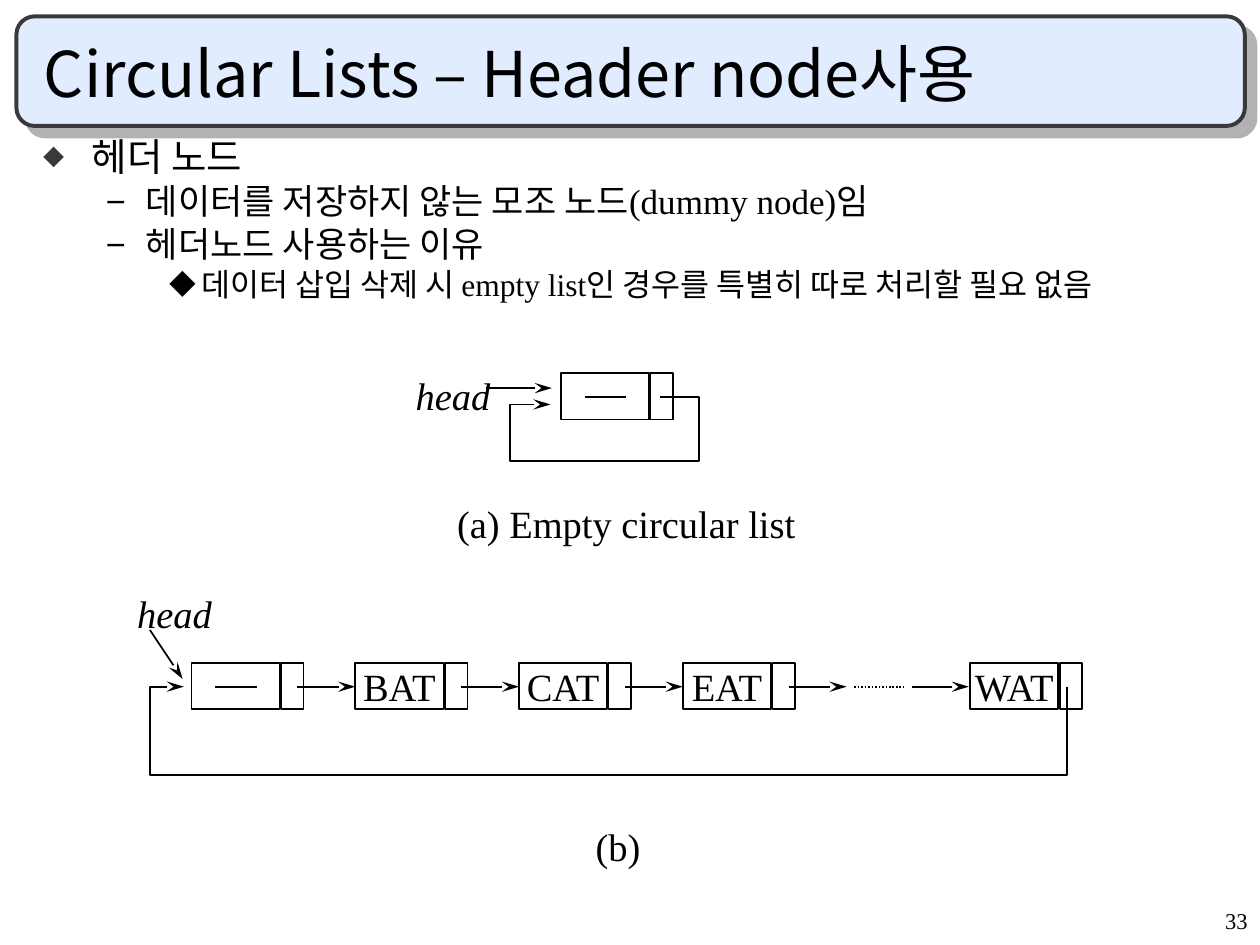
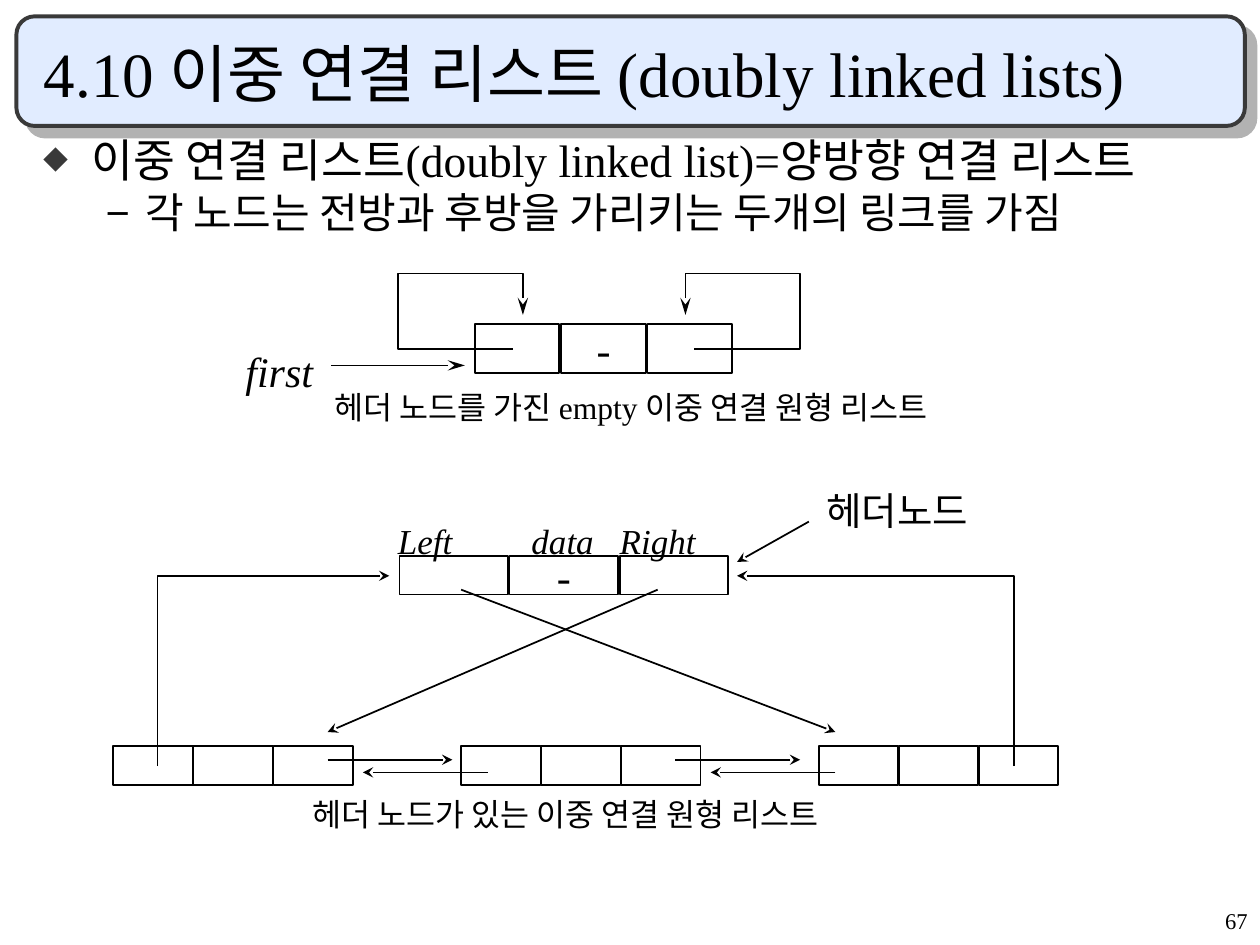
import pptx
import pptx.util
import pptx.oxml
import pptx.oxml.ns
import pptx.dml.color
import pptx.enum.dml
import pptx.enum.shapes
import pptx.enum.text

Inches = pptx.util.Inches
Pt = pptx.util.Pt
ALIGN = pptx.enum.text.PP_ALIGN
ANCHOR = pptx.enum.text.MSO_ANCHOR
SHAPE = pptx.enum.shapes.MSO_SHAPE
COLORS = {"ink": "000000", "band": "E1ECFF", "edge": "393939", "shadow": "B2B2B2"}
SERIF, SANS = "Times New Roman", "Noto Sans CJK KR"
BULLETS = [
    {"char": "◆", "color": "edge", "size": 55, "left": 0.38, "hang": 0.38},
    {"char": "−", "color": "ink", "size": 100, "left": 0.81, "hang": 0.31},
    {"char": "◆", "color": "ink", "size": 85, "left": 1.25, "hang": 0.25},
]


def apply(obj, values):
    """Set every attribute in values on obj."""
    for name, value in values.items():
        setattr(obj, name, value)


def rgb(name):
    """Return the named colour."""
    return pptx.dml.color.RGBColor.from_string(COLORS[name])


def add_xml(parent, tag, **attrs):
    """Append a drawing element to parent and return it."""
    el = pptx.oxml.ns.qn(tag)
    el = parent.makeelement(el, {k: str(v) for k, v in attrs.items()})
    parent.append(el)
    return el


class Deck:
    """Holds the shared style and the current slide."""

    def __init__(self):
        """Open an empty 10 by 7.5 inch presentation."""
        self.prs = pptx.Presentation()
        apply(self.prs, {"slide_width": Inches(10), "slide_height": Inches(7.5)})
        self.s = None
        self.head_length = "lg"

    def slide(self, title, number, font=SERIF):
        """Start a slide with its title band and page number."""
        self.s = self.prs.slides.add_slide(self.prs.slide_layouts[6])
        self.band()
        self.text(title, 0.25, 0.25, 9.42, 0.67, 36, font=font, anchor=ANCHOR.BOTTOM)
        p = self.text(number, 7.92, 7.17, 2.08, 0.33, 12.9)
        apply(p, {"alignment": ALIGN.RIGHT, "line_spacing": 0.9, "space_before": Pt(8.8)})

    def band(self):
        """Draw the rounded title band with its hard shadow."""
        sp = self.box(0.13, 0.13, 9.75, 0.87, SHAPE.ROUNDED_RECTANGLE)
        sp.adjustments[0] = 0.167
        sp.fill.solid()
        sp.fill.fore_color.rgb = rgb("band")
        self.stroke(sp.line, "edge", 2.25)
        effects = sp._element.spPr.find(pptx.oxml.ns.qn("a:effectLst"))
        shadow = add_xml(effects, "a:outerShdw", blurRad=0, dist=Pt(8.5),
                         dir=45 * 60000, algn="ctr", rotWithShape=0)
        add_xml(shadow, "a:srgbClr", val=COLORS["shadow"])

    def stroke(self, line, color="ink", width=1, arrow=False):
        """Style a line, with an arrowhead at its end if asked."""
        line.color.rgb = rgb(color)
        line.width = Pt(width)
        if arrow:
            add_xml(line._get_or_add_ln(), "a:tailEnd", type="stealth", len=self.head_length)

    def run(self, p, text, size, font=SERIF, italic=False):
        """Add a run of text with its Latin and East Asian fonts."""
        r = p.add_run()
        r.text = text
        apply(r.font, {"name": font, "size": Pt(size), "italic": italic})
        r.font.color.rgb = rgb("ink")
        add_xml(r._r.get_or_add_rPr(), "a:ea", typeface=SANS)

    def text(self, text, x, y, w, h, size, font=SERIF, italic=False,
             anchor=ANCHOR.TOP, wrap=True):
        """Add a one-paragraph text box and return the paragraph."""
        tf = self.s.shapes.add_textbox(*map(Inches, (x, y, w, h))).text_frame
        apply(tf, {"word_wrap": wrap, "vertical_anchor": anchor})
        self.run(tf.paragraphs[0], text, size, font, italic)
        return tf.paragraphs[0]

    def label(self, text, x, y, w, h, size=22, italic=False):
        """Add an unwrapped diagram label."""
        self.text(text, x, y, w, h, size, italic=italic, wrap=False)

    def body(self, w, h, items, align=ALIGN.LEFT):
        """Add the bulleted text from (level, size, text) items."""
        tf = self.s.shapes.add_textbox(*map(Inches, (0.25, 1.08, w, h))).text_frame
        tf.word_wrap = True
        for i, (level, size, text) in enumerate(items):
            p = tf.add_paragraph() if i else tf.paragraphs[0]
            apply(p, {"level": level, "alignment": align, "line_spacing": 0.8,
                      "space_before": Pt(size / 4)})
            b = BULLETS[level]
            pPr = p._p.get_or_add_pPr()
            pPr.set("marL", str(Inches(b["left"])))
            pPr.set("indent", str(-Inches(b["hang"])))
            add_xml(add_xml(pPr, "a:buClr"), "a:srgbClr", val=COLORS[b["color"]])
            add_xml(pPr, "a:buSzPct", val=b["size"] * 1000)
            add_xml(pPr, "a:buFont", typeface=SANS)
            add_xml(pPr, "a:buChar", char=b["char"])
            self.run(p, text, size)

    def box(self, x, y, w, h, kind=SHAPE.RECTANGLE, text="", size=22):
        """Add an outlined shape with optional centred text."""
        sp = self.s.shapes.add_shape(kind, *map(Inches, (x, y, w, h)))
        sp.shadow.inherit = False
        sp.fill.background()
        self.stroke(sp.line)
        if text:
            tf = sp.text_frame
            apply(tf, {"word_wrap": False, "vertical_anchor": ANCHOR.MIDDLE})
            tf.paragraphs[0].alignment = ALIGN.CENTER
            self.run(tf.paragraphs[0], text, size)
        return sp

    def line(self, x1, y1, x2, y2, arrow=True, dash=None):
        """Add a straight line or arrow."""
        c = self.s.shapes.add_connector(pptx.enum.shapes.MSO_CONNECTOR.STRAIGHT,
                                        *map(Inches, (x1, y1, x2, y2)))
        if dash:
            c.line.dash_style = dash
        self.stroke(c.line, arrow=arrow)
        add_xml(c._element.spPr, "a:effectLst")

    def route(self, *points):
        """Add a bent arrow through the points."""
        pts = [(Inches(x), Inches(y)) for x, y in points]
        fb = self.s.shapes.build_freeform(*pts[0])
        fb.add_line_segments(pts[1:], close=False)
        sp = fb.convert_to_shape()
        sp.shadow.inherit = False
        sp.fill.background()
        self.stroke(sp.line, arrow=True)

    def single_node(self, x, y, text=""):
        """Add a data and link node; a header node holds a dash line."""
        self.box(x, y, 0.7, 0.37, text=text)
        self.box(x + 0.71, y, 0.18, 0.37)
        if not text:
            self.line(x + 0.19, y + 0.19, x + 0.52, y + 0.19, arrow=False)

    def double_node(self, x, y, w, h, pitch, text=""):
        """Add a left, data and right node."""
        for i, t in enumerate(("", text, "")):
            self.box(x + i * pitch, y, w, h, text=t, size=24)


def circular_lists(d):
    """Build the header node slide."""
    d.slide("Circular Lists – Header node사용", "33", SANS)
    d.body(9.42, 1.49, [
        (0, 22, "헤더 노드"),
        (1, 20, "데이터를 저장하지 않는 모조 노드(dummy node)임"),
        (1, 20, "헤더노드 사용하는 이유"),
        (2, 18, "데이터 삽입 삭제 시 empty list인 경우를 특별히 따로 처리할 필요 없음"),
    ])
    d.single_node(4.45, 2.96)
    d.label("head", 3.2, 2.9, 0.8, 0.47, italic=True)
    d.line(3.86, 3.08, 4.38, 3.08)
    d.route((5.24, 3.15), (5.55, 3.15), (5.55, 3.66), (4.05, 3.66), (4.05, 3.21), (4.37, 3.21))
    d.label("(a) Empty circular list", 3.53, 3.92, 2.89, 0.47)

    first, step, link_y = 1.52, 1.3, 5.45
    for i, word in enumerate(("", "BAT", "CAT", "EAT")):
        x = first + i * step
        d.single_node(x, 5.26, word)
        d.line(x + 0.84, link_y, x + step, link_y)
    d.line(6.78, link_y, 7.17, link_y, arrow=False, dash=pptx.enum.dml.MSO_LINE.ROUND_DOT)
    d.line(7.24, link_y, 7.69, link_y)
    d.single_node(7.7, 5.26, "WAT")
    d.route((8.47, link_y), (8.47, 6.15), (1.19, 6.15), (1.19, link_y), (1.46, link_y))
    d.label("head", 0.99, 4.63, 0.8, 0.47, italic=True)
    d.line(1.19, 5, 1.45, 5.39)
    d.label("(b)", 4.63, 6.48, 0.56, 0.47)


def doubly_linked_lists(d):
    """Build the doubly linked list slide."""
    d.slide("4.10 이중 연결 리스트 (doubly linked lists)", "67")
    d.body(9.5, 0.92, [
        (0, 26, "이중 연결 리스트(doubly linked list)=양방향 연결 리스트"),
        (1, 24, "각 노드는 전방과 후방을 가리키는 두개의 링크를 가짐"),
    ], ALIGN.JUSTIFY)
    d.double_node(3.77, 2.57, 0.67, 0.39, 0.685, "-")
    d.label("first", 1.85, 2.69, 0.74, 0.5, 24, italic=True)
    d.line(2.63, 2.9, 3.69, 2.9)
    for inner, outer, target in ((4.07, 3.16, 4.15), (5.51, 6.35, 5.44)):
        d.route((inner, 2.77), (outer, 2.77), (outer, 2.17), (target, 2.17), (target, 2.5))
    d.label("헤더 노드를 가진 empty 이중 연결 원형 리스트", 2.56, 3.03, 5.1, 0.4, 18)

    d.head_length = "med"
    d.double_node(3.17, 4.41, 0.86, 0.31, 0.875, "-")
    for name, x, w in (("Left", 3.06, 0.64), ("data", 4.12, 0.7), ("Right", 4.82, 0.81)):
        d.label(name, x, 4.07, w, 0.43, 20, italic=True)
    d.label("헤더노드", 6.46, 3.82, 1.32, 0.47)
    d.line(6.42, 4.14, 5.85, 4.46)
    for x in (0.9, 3.66, 6.5):
        d.double_node(x, 5.92, 0.63, 0.31, 0.635)
    for outer, header in ((1.25, 3.09), (8.05, 5.85)):
        d.route((outer, 6.08), (outer, 4.57), (header, 4.57))
    d.line(5.22, 4.68, 2.6, 5.81)
    d.line(3.66, 4.68, 6.63, 5.81)
    for x in (2.6, 5.36):
        d.line(x, 6.03, x + 0.99, 6.03)
        d.line(x + 1.27, 6.13, x + 0.28, 6.13)
    d.label("헤더 노드가 있는 이중 연결 원형 리스트", 2.38, 6.26, 4.3, 0.4, 18)


def main():
    """Build and save both slides."""
    d = Deck()
    circular_lists(d)
    doubly_linked_lists(d)
    d.prs.save("out.pptx")


if __name__ == "__main__":
    main()
